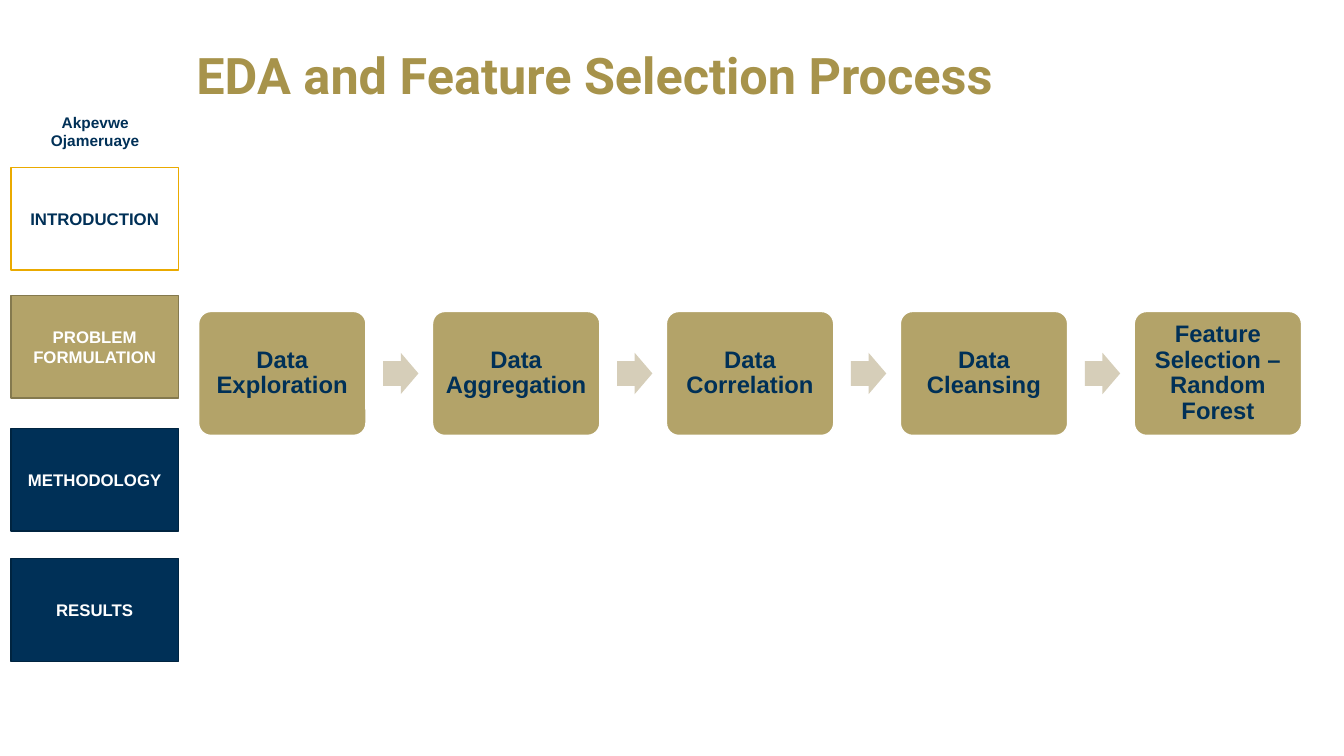
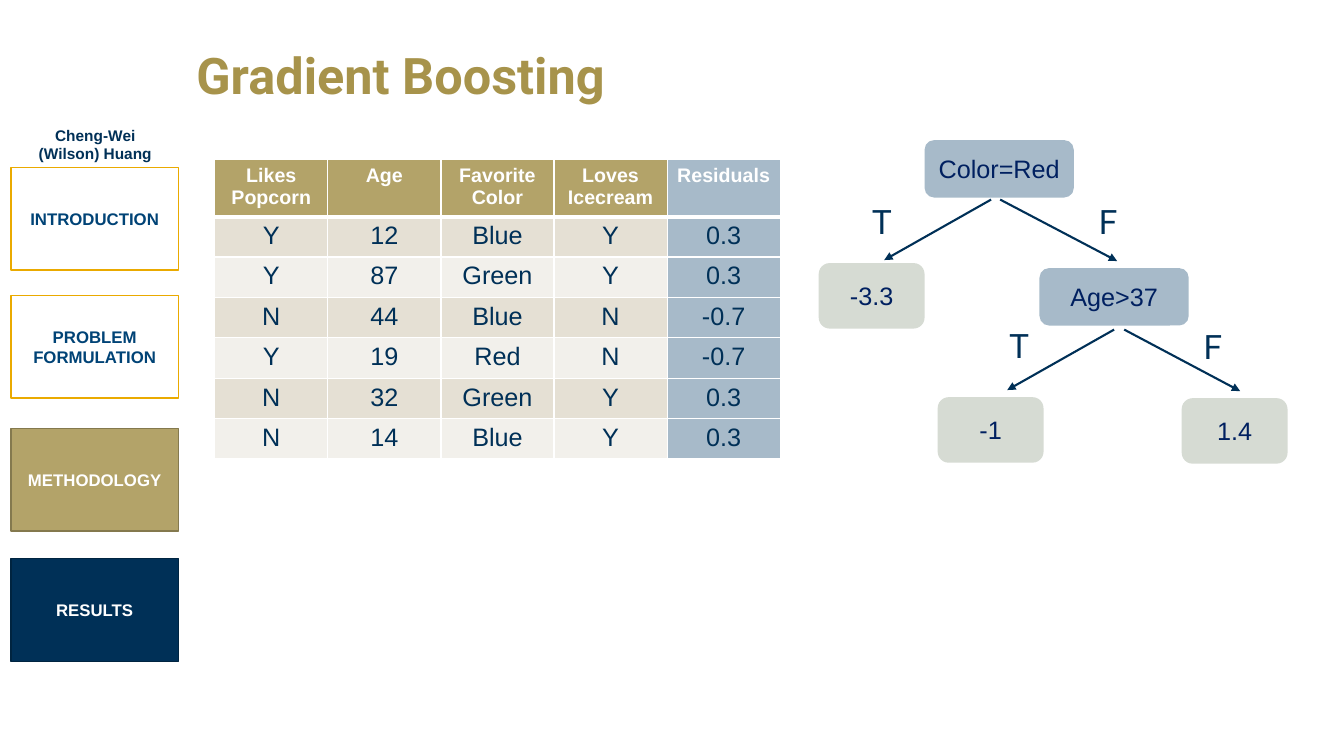
from dataclasses import dataclass
from typing import Any

from lxml.etree import SubElement
from pptx import Presentation
from pptx.dml.color import RGBColor
from pptx.enum.shapes import MSO_CONNECTOR, MSO_SHAPE
from pptx.enum.text import MSO_ANCHOR, PP_ALIGN
from pptx.oxml.ns import qn
from pptx.util import Inches, Pt


@dataclass(frozen=True)
class Theme:
    body: str = "Arial"
    head: str = "Roboto"
    title: str = "A7934B"
    navy: str = "003057"
    edge: str = "002440"
    blue: str = "004376"
    ink: str = "002060"
    gold: str = "B3A369"
    rim: str = "84794E"
    amber: str = "EAAA00"
    sand: str = "D6CEB9"
    sky: str = "A7BAC9"
    sage: str = "D6DBD3"
    odd: str = "E5E0D4"
    even: str = "F2F0EB"
    white: str = "FFFFFF"
    big: float = 36
    mark: float = 24
    text: float = 18
    card: float = 17
    cell: float = 14
    step: float = 12
    small: float = 11


T = Theme()


@dataclass(frozen=True)
class Box:
    left: float
    top: float
    width: float
    height: float

    def emu(self) -> tuple[int, int, int, int]:
        return (Inches(self.left), Inches(self.top),
                Inches(self.width), Inches(self.height))


@dataclass(frozen=True)
class Style:
    size: float
    color: str
    bold: bool = False
    font: str = T.body
    align: PP_ALIGN = PP_ALIGN.CENTER
    space: float = 1.0


@dataclass(frozen=True)
class Node:
    text: str
    box: Box
    fill: str


@dataclass(frozen=True)
class Branch:
    start: tuple[float, float]
    end: tuple[float, float]
    mark: str
    spot: tuple[float, float]


STEPS = [("INTRODUCTION", 1.66), ("PROBLEM FORMULATION", 2.93),
         ("METHODOLOGY", 4.25), ("RESULTS", 5.54)]
CARDS = ["Data Exploration", "Data Aggregation", "Data Correlation",
         "Data Cleansing", "Feature Selection – Random Forest"]
ROWS = [
    ["Likes Popcorn", "Age", "Favorite\nColor", "Loves Icecream", "Residuals"],
    ["Y", "12", "Blue", "Y", "0.3"],
    ["Y", "87", "Green", "Y", "0.3"],
    ["N", "44", "Blue", "N", "-0.7"],
    ["Y", "19", "Red", "N", "-0.7"],
    ["N", "32", "Green", "Y", "0.3"],
    ["N", "14", "Blue", "Y", "0.3"],
]
NODES = [
    Node("Color=Red", Box(9.17, 1.39, 1.48, 0.57), T.sky),
    Node("Age>37", Box(10.31, 2.66, 1.48, 0.57), T.sky),
    Node("-3.3", Box(8.12, 2.61, 1.05, 0.65), T.sage),
    Node("-1", Box(9.3, 3.94, 1.05, 0.65), T.sage),
    Node("1.4", Box(11.72, 3.95, 1.05, 0.65), T.sage),
]
LINKS = [
    Branch((9.83, 1.98), (8.77, 2.58), "T", (8.55, 2.02)),
    Branch((9.92, 1.98), (11.08, 2.59), "F", (10.8, 2.02)),
    Branch((11.05, 3.27), (9.99, 3.87), "T", (9.91, 3.25)),
    Branch((11.15, 3.27), (12.3, 3.88), "F", (11.84, 3.26)),
]


def rgb(color: str) -> RGBColor:
    return RGBColor.from_string(color)


def write(frame: Any, text: str, style: Style) -> None:
    frame.text = text
    frame.word_wrap = True
    for para in frame.paragraphs:
        para.alignment = style.align
        para.line_spacing = style.space
        for run in para.runs:
            font = run.font
            font.name, font.size, font.bold = style.font, Pt(style.size), style.bold
            font.color.rgb = rgb(style.color)


def label(slide: Any, box: Box, text: str, style: Style,
          anchor: MSO_ANCHOR = MSO_ANCHOR.TOP) -> None:
    frame = slide.shapes.add_textbox(*box.emu()).text_frame
    write(frame, text, style)
    frame.vertical_anchor = anchor


def shape(slide: Any, kind: MSO_SHAPE, box: Box, fill: str,
          line: str | None = None) -> Any:
    item = slide.shapes.add_shape(kind, *box.emu())
    item.shadow.inherit = False
    item.fill.solid()
    item.fill.fore_color.rgb = rgb(fill)
    if line:
        item.line.color.rgb = rgb(line)
        item.line.width = Pt(1)
    else:
        item.line.fill.background()
    item.text_frame.vertical_anchor = MSO_ANCHOR.MIDDLE
    return item


def arrow(slide: Any, start: tuple[float, float], end: tuple[float, float]) -> None:
    ends = [Inches(n) for n in (*start, *end)]
    item = slide.shapes.add_connector(MSO_CONNECTOR.STRAIGHT, *ends)
    item.line.color.rgb = rgb(T.navy)
    item.line.width = Pt(1.5)
    props = item.element.spPr
    SubElement(props.find(qn("a:ln")), qn("a:tailEnd"), type="triangle")
    SubElement(props, qn("a:effectLst"))


def frame_cell(cell: Any, top: float, base: float) -> None:
    """Give a cell white borders; must run before its fill is set."""
    props = cell._tc.get_or_add_tcPr()
    for side, width in (("L", 1), ("R", 1), ("T", top), ("B", base)):
        line = SubElement(props, qn(f"a:ln{side}"), w=str(Pt(width)))
        fill = SubElement(line, qn("a:solidFill"))
        SubElement(fill, qn("a:srgbClr"), val=T.white)


def start_slide(deck: Any, title: str, name: str, place: Box, now: int,
                done: str) -> Any:
    """Add a slide with its title, speaker and step rail; now is the active step."""
    slide = deck.slides.add_slide(deck.slide_layouts[6])
    label(slide, Box(1.85, 0.22, 11.06, 1.11), title,
          Style(T.big, T.title, True, T.head, PP_ALIGN.LEFT, 0.9), MSO_ANCHOR.MIDDLE)
    for i, (text, top) in enumerate(STEPS):
        if i < now:
            fill, line, color = T.white, T.amber, done
        elif i == now:
            fill, line, color = T.gold, T.rim, T.white
        else:
            fill, line, color = T.navy, T.edge, T.white
        item = shape(slide, MSO_SHAPE.RECTANGLE, Box(0.11, top, 1.66, 1.02), fill, line)
        write(item.text_frame, text, Style(T.step, color, True))
    label(slide, place, name, Style(T.small, T.navy, True))
    return slide


def draw_flow(slide: Any) -> None:
    left, pitch = 1.97, 2.32
    for i, text in enumerate(CARDS):
        x = left + i * pitch
        card = shape(slide, MSO_SHAPE.ROUNDED_RECTANGLE,
                     Box(x, 3.09, 1.66, 1.23), T.gold, T.white)
        card.adjustments[0] = 0.1
        frame = card.text_frame
        frame.margin_left = frame.margin_right = Inches(0.07)
        frame.margin_top = frame.margin_bottom = Inches(0.07)
        write(frame, text, Style(T.card, T.navy, True, space=0.9))
        if i < len(CARDS) - 1:
            item = shape(slide, MSO_SHAPE.RIGHT_ARROW,
                         Box(x + 1.83, 3.5, 0.35, 0.41), T.sand)
            item.adjustments[0] = 0.6


def draw_table(slide: Any) -> None:
    box = Box(2.13, 1.58, 5.61, 2.97)
    table = slide.shapes.add_table(len(ROWS), len(ROWS[0]), *box.emu()).table
    for r, texts in enumerate(ROWS):
        table.rows[r].height = Inches(0.4 if r else 0.57)
        for c, text in enumerate(texts):
            cell = table.cell(r, c)
            frame_cell(cell, 3 if r == 1 else 1, 1 if r else 3)
            if c == len(texts) - 1:
                fill = T.sky
            elif r == 0:
                fill = T.gold
            else:
                fill = T.odd if r % 2 else T.even
            cell.fill.solid()
            cell.fill.fore_color.rgb = rgb(fill)
            style = Style(T.text, T.navy) if r else Style(T.cell, T.white, True)
            write(cell.text_frame, text, style)


def draw_tree(slide: Any) -> None:
    for node in NODES:
        item = shape(slide, MSO_SHAPE.ROUNDED_RECTANGLE, node.box, node.fill)
        write(item.text_frame, node.text, Style(T.text, T.ink))
    style = Style(T.mark, T.navy, font=T.head, align=PP_ALIGN.LEFT, space=0.8)
    for link in LINKS:
        arrow(slide, link.start, link.end)
        label(slide, Box(*link.spot, 0.67, 0.44), link.mark, style)


def main() -> None:
    deck = Presentation()
    deck.slide_width, deck.slide_height = Inches(13.33), Inches(7.5)
    flow = start_slide(deck, "EDA and Feature Selection Process", "Akpevwe Ojameruaye",
                       Box(0.31, 1.07, 1.27, 0.47), 1, T.navy)
    draw_flow(flow)
    boost = start_slide(deck, "Gradient Boosting", "Cheng-Wei (Wilson) Huang",
                        Box(0.17, 1.2, 1.55, 0.46), 2, T.blue)
    draw_table(boost)
    draw_tree(boost)
    deck.save("out.pptx")


if __name__ == "__main__":
    main()
